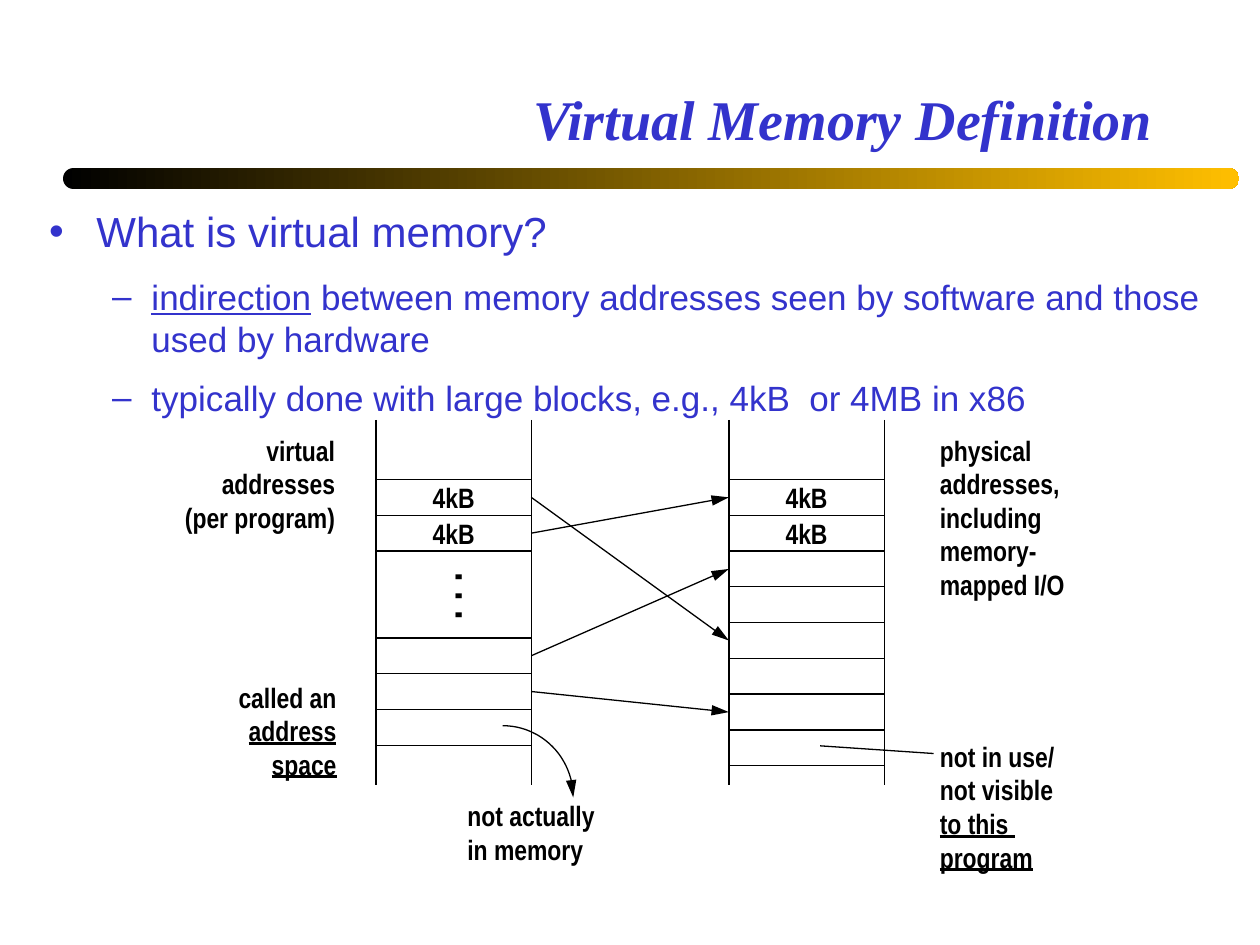
from math import cos, pi, sin

from lxml.etree import SubElement
from pptx import Presentation
from pptx.dml.color import RGBColor
from pptx.enum.shapes import MSO_CONNECTOR, MSO_SHAPE
from pptx.enum.text import MSO_ANCHOR, MSO_AUTO_SIZE, PP_ALIGN
from pptx.oxml.ns import qn
from pptx.util import Pt

BLUE, BLACK, PALE = "3333CC", "000000", "FFFFCC"
LEFT, MID, RIGHT = PP_ALIGN.LEFT, PP_ALIGN.CENTER, PP_ALIGN.RIGHT
TITLE = dict(name="Times New Roman", size=Pt(32), bold=True, italic=True)
HEAD = dict(name="Arial", size=Pt(24))
ITEM = dict(name="Arial", size=Pt(20))
NOTE = dict(name="Arial Narrow", size=Pt(16), bold=True)
DOTS = dict(NOTE, size=Pt(24))
FLUSH = dict(margin_left=0, margin_right=0, margin_top=0, margin_bottom=0, word_wrap=False)
GROW = dict(word_wrap=False, auto_size=MSO_AUTO_SIZE.SHAPE_TO_FIT_TEXT)


def hue(code):
    return RGBColor.from_string(code)


def put(obj, vals):
    for key, val in vals.items():
        setattr(obj, key, val)


class Board:
    def __init__(self, slide):
        self.shapes = slide.shapes

    def pen(self, shape, tint=BLACK, arrow=False):
        shape.line.color.rgb = hue(tint)
        shape.line.width = Pt(0.75)
        if arrow:
            edge = shape._element.spPr.find(qn("a:ln"))
            SubElement(edge, qn("a:tailEnd"), type="triangle", w="med", len="lg")

    def words(self, para, text, font, tint, align=LEFT):
        """Words between underscores are underlined."""
        para.alignment = align
        for num, part in enumerate(text.split("_")):
            if part:
                run = para.add_run()
                run.text = part
                put(run.font, font)
                run.font.underline = num % 2 == 1
                run.font.color.rgb = hue(tint)

    def text(self, box, lines, font, tint=BLACK, align=LEFT, frame=GROW):
        shape = self.shapes.add_textbox(*map(Pt, box))
        body = shape.text_frame
        put(body, frame)
        for num, line in enumerate(lines):
            para = body.add_paragraph() if num else body.paragraphs[0]
            self.words(para, line, font, tint, align)
        return shape

    def bullet(self, para, sign, left, hang, gap):
        put(para, dict(space_before=Pt(gap), space_after=Pt(gap)))
        props = para._p.get_or_add_pPr()
        props.set("marL", str(Pt(left)))
        props.set("indent", str(Pt(-hang)))
        SubElement(props, qn("a:buFont"), typeface="Arial")
        SubElement(props, qn("a:buChar"), char=sign)

    def block(self, box, label="", tint=BLACK):
        shape = self.shapes.add_shape(MSO_SHAPE.RECTANGLE, *map(Pt, box))
        shape.shadow.inherit = False
        shape.fill.background()
        self.pen(shape, tint)
        if label:
            put(shape.text_frame, dict(FLUSH, vertical_anchor=MSO_ANCHOR.MIDDLE))
            self.words(shape.text_frame.paragraphs[0], label, NOTE, BLACK, MID)
        return shape

    def line(self, ends=(0, 0, 0, 0), arrow=False, join=None):
        wire = self.shapes.add_connector(MSO_CONNECTOR.STRAIGHT, *map(Pt, ends))
        if join:
            wire.begin_connect(join[0], 3)
            wire.end_connect(join[1], 1)
        self.pen(wire, arrow=arrow)
        SubElement(wire._element.spPr, qn("a:effectLst"))

    def curve(self, left, top, wide, high, steps=24):
        """Quarter ellipse from the top left to the bottom right."""
        turns = [pi / 2 * num / steps for num in range(1, steps + 1)]
        path_pen = self.shapes.build_freeform(Pt(left), Pt(top))
        path_pen.add_line_segments([(Pt(left + wide * sin(a)), Pt(top + high * (1 - cos(a))))
                                    for a in turns], close=False)
        shape = path_pen.convert_to_shape()
        shape.shadow.inherit = False
        shape.fill.background()
        self.pen(shape, arrow=True)

    def bar(self, box):
        shape = self.shapes.add_shape(MSO_SHAPE.ROUNDED_RECTANGLE, *map(Pt, box))
        shape.shadow.inherit = False
        shape.adjustments[0] = 0.5
        shape.fill.gradient()
        shape.fill.gradient_angle = 0
        for stop, tint, spot in zip(shape.fill.gradient_stops, (BLACK, "FFBF00"), (0, 1)):
            stop.color.rgb = hue(tint)
            stop.position = spot
        shape.line.fill.background()


def main():
    deck = Presentation()
    put(deck, dict(slide_width=Pt(720), slide_height=Pt(540)))
    board = Board(deck.slides.add_slide(deck.slide_layouts[6]))

    # Title and rule
    board.bar((36, 96, 672, 12))
    board.text((54, 18, 612, 72), ["Virtual Memory Definition"], TITLE, BLUE, RIGHT,
               dict(word_wrap=True, vertical_anchor=MSO_ANCHOR.BOTTOM))

    # Bullets
    body = board.text((21, 114, 678, 144), ["What is virtual memory?"], HEAD, BLUE,
                      frame=dict(word_wrap=True)).text_frame
    board.bullet(body.paragraphs[0], "•", 27, 27, 6)
    for item in ("_indirection_ between memory addresses seen by software and those "
                 "used by hardware",
                 "typically done with large blocks, e.g., 4kB  or 4MB in x86"):
        para = body.add_paragraph()
        para.level = 1
        board.words(para, item, ITEM, BLUE)
        board.bullet(para, "–", 58.5, 22.5, 5)

    # Memory columns: a gap splits the virtual one, the pale block lies at the back
    virt, phys, wide, high, top, low = 214.8, 416.5, 88.8, 20.45, 274, 364.5
    tops = [top, top + high] + [low + high * num for num in range(3)]
    vcells = [board.block((virt, y, wide, high), "4kB" if num < 2 else "")
              for num, y in enumerate(tops)]
    pcells = {num: board.block((phys, top + high * num, wide, high),
                               "4kB" if num < 2 else "", PALE if num == 2 else BLACK)
              for num in sorted(range(8), key=lambda num: num != 2)}
    for x in (virt, virt + wide, phys, phys + wide):
        board.line((x, 240, x, 448.5))
    board.text((256.3, 326.2, 27.4, 28.8), [". . ."], DOTS, align=RIGHT,
               frame=FLUSH | GROW).rotation = 90

    # Mapping arrows
    for start, end in ((0, 4), (1, 0), (2, 2), (3, 6)):
        board.line(arrow=True, join=(vcells[start], pcells[end]))
    board.curve(287.3, 414.7, 40.3, 41)
    board.line((468.7, 426.2, 533.5, 430.6))

    # Notes
    for box, align, lines in (
        ((530, 244, 85.7, 103.7), LEFT,
         ["physical", "addresses,", "including", "memory-", "mapped I/O"]),
        ((98.6, 244, 100, 64.8), RIGHT, ["virtual", "addresses", "(per program)"]),
        ((128.9, 385.2, 70.5, 64.8), RIGHT, ["called an", "_address_", "_space_"]),
        ((260, 453, 87, 46), LEFT, ["not actually", "in memory"]),
        ((530, 419, 80, 84.2), LEFT,
         ["not in use/", "not visible", "_to this _", "_program_"]),
    ):
        board.text(box, lines, NOTE, align=align)

    deck.save("out.pptx")


if __name__ == "__main__":
    main()
